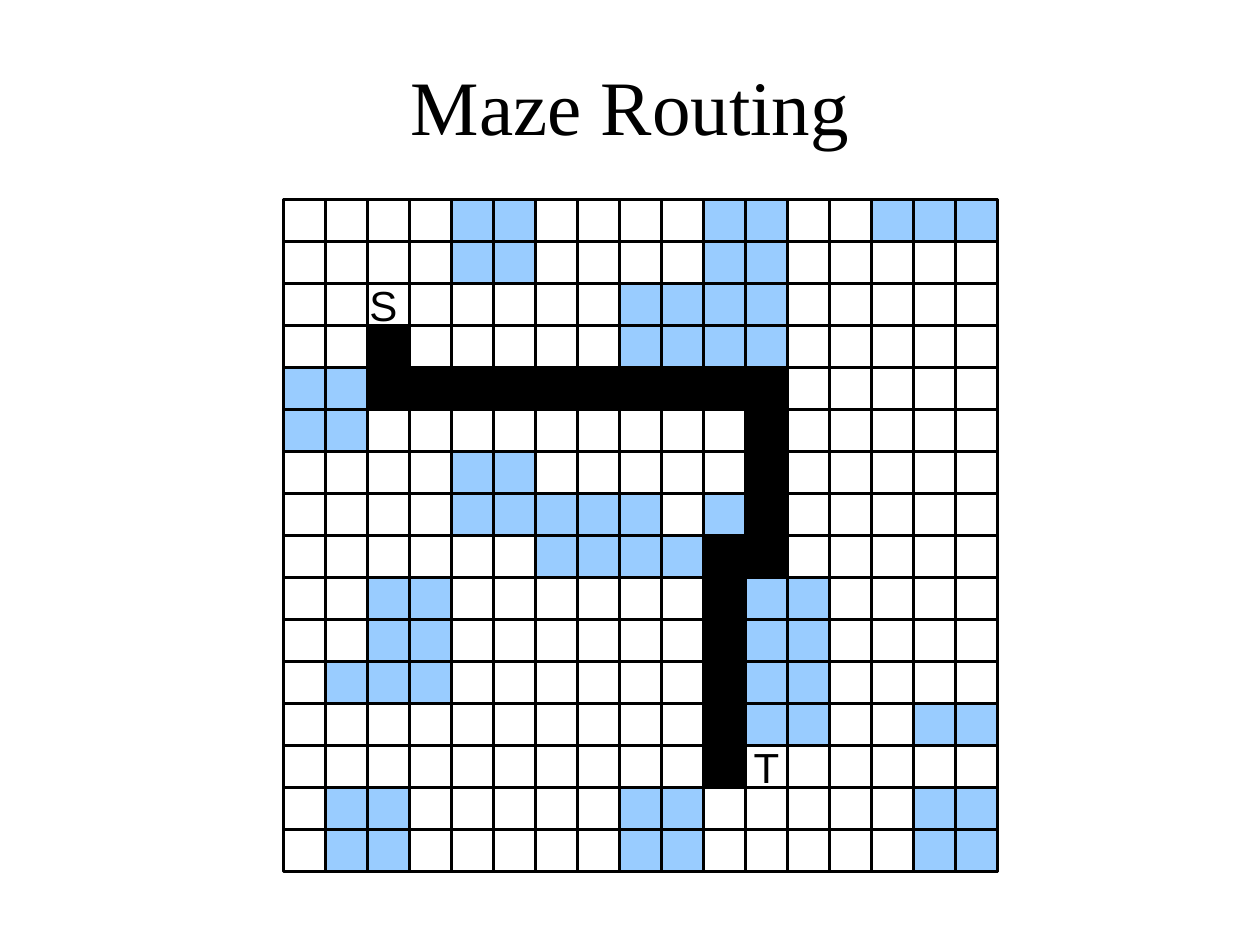
from dataclasses import dataclass

import pptx
import pptx.dml.color
import pptx.enum.shapes
import pptx.enum.text
import pptx.oxml
import pptx.oxml.ns
import pptx.util

Pt = pptx.util.Pt
RGB = pptx.dml.color.RGBColor
SHAPE = pptx.enum.shapes.MSO_SHAPE
TEXT = pptx.enum.text


@dataclass(frozen=True)
class Theme:
    ink: RGB = RGB(0x00, 0x00, 0x00)
    obstacle: RGB = RGB(0x99, 0xCC, 0xFF)
    title_font: str = "Times New Roman"
    label_font: str = "Arial"
    title_size: float = 44
    label_size: float = 24
    line_width: float = 2


@dataclass(frozen=True)
class Block:
    """A rectangle of maze cells."""
    col: int
    row: int
    cols: int
    rows: int


@dataclass(frozen=True)
class Label:
    text: str
    left: float
    top: float
    width: float
    height: float
    font: str
    size: float
    wrap: bool = False


THEME = Theme()

# Maze geometry
CELL, COLS, ROWS = 24, 17, 16
LEFT, TOP = 162, 114
RIGHT, BOTTOM = LEFT + COLS * CELL, TOP + ROWS * CELL

OBSTACLES = [
    Block(4, 0, 2, 2), Block(10, 0, 2, 2), Block(14, 0, 3, 1),
    Block(8, 2, 4, 2), Block(0, 4, 2, 2), Block(4, 6, 2, 2),
    Block(6, 7, 3, 1), Block(10, 7, 1, 1), Block(6, 8, 4, 1),
    Block(2, 9, 2, 3), Block(1, 11, 1, 1), Block(11, 9, 2, 4),
    Block(15, 12, 2, 1), Block(1, 14, 2, 2), Block(8, 14, 2, 2),
    Block(15, 14, 2, 2),
]
ROUTE = [
    Block(2, 3, 1, 1), Block(2, 4, 10, 1),
    Block(11, 5, 1, 4), Block(10, 8, 1, 6),
]
TITLE = Label("Maze Routing", 12, 36, 696, 48,
              THEME.title_font, THEME.title_size, True)
TERMINALS = [
    Label("S", 204, 156, 30, 36, THEME.label_font, THEME.label_size),
    Label("T", 423.5, 420, 29, 36, THEME.label_font, THEME.label_size),
]


def style_line(line) -> None:
    line.color.rgb = THEME.ink
    line.width = Pt(THEME.line_width)


def add_rect(s, left: float, top: float, width: float, height: float,
             fill: RGB | None = None):
    sp = s.shapes.add_shape(SHAPE.RECTANGLE, Pt(left), Pt(top), Pt(width), Pt(height))
    sp.shadow.inherit = False
    if fill is None:
        sp.fill.background()
    else:
        sp.fill.solid()
        sp.fill.fore_color.rgb = fill
    style_line(sp.line)
    return sp


def add_line(s, x1: float, y1: float, x2: float, y2: float):
    line = s.shapes.add_connector(pptx.enum.shapes.MSO_CONNECTOR.STRAIGHT,
                                  Pt(x1), Pt(y1), Pt(x2), Pt(y2))
    style_line(line.line)
    properties = line._element.spPr
    properties.append(pptx.oxml.parse_xml(
        f"<a:effectLst {pptx.oxml.ns.nsdecls('a')}/>"))
    return line


def add_label(s, label: Label) -> None:
    sp = s.shapes.add_textbox(Pt(label.left), Pt(label.top),
                              Pt(label.width), Pt(label.height))
    tf = sp.text_frame
    fit = TEXT.MSO_AUTO_SIZE.NONE if label.wrap else TEXT.MSO_AUTO_SIZE.SHAPE_TO_FIT_TEXT
    frame_format = {"word_wrap": label.wrap, "auto_size": fit,
                    "vertical_anchor": TEXT.MSO_ANCHOR.MIDDLE}
    for name, value in frame_format.items():
        setattr(tf, name, value)
    p = tf.paragraphs[0]
    p.alignment = TEXT.PP_ALIGN.CENTER
    r = p.add_run()
    r.text = label.text
    for name, value in {"name": label.font, "size": Pt(label.size)}.items():
        setattr(r.font, name, value)
    r.font.color.rgb = THEME.ink


def add_grid(s) -> None:
    frame = add_rect(s, LEFT, TOP, COLS * CELL, ROWS * CELL)
    for col in range(1, COLS):
        x = LEFT + col * CELL
        add_line(s, x, TOP, x, BOTTOM)
    for row in range(1, ROWS):
        y = TOP + row * CELL
        line = add_line(s, LEFT, y, RIGHT, y)
        if 2 * row == ROWS:  # the middle line meets the frame's side midpoints
            line.begin_connect(frame, 1)
            line.end_connect(frame, 3)


def add_block(s, block: Block, fill: RGB) -> None:
    for row in range(block.row, block.row + block.rows):
        for col in range(block.col, block.col + block.cols):
            add_rect(s, LEFT + col * CELL, TOP + row * CELL, CELL, CELL, fill)


def main() -> None:
    prs = pptx.Presentation()
    prs.slide_width, prs.slide_height = Pt(720), Pt(540)
    s = prs.slides.add_slide(prs.slide_layouts[6])

    # Title, maze grid and terminals
    add_label(s, TITLE)
    add_grid(s)
    for terminal in TERMINALS:
        add_label(s, terminal)

    # Obstacles, then the route between the terminals
    for blocks, fill in ((OBSTACLES, THEME.obstacle), (ROUTE, THEME.ink)):
        for block in blocks:
            add_block(s, block, fill)

    prs.save("out.pptx")


if __name__ == "__main__":
    main()
